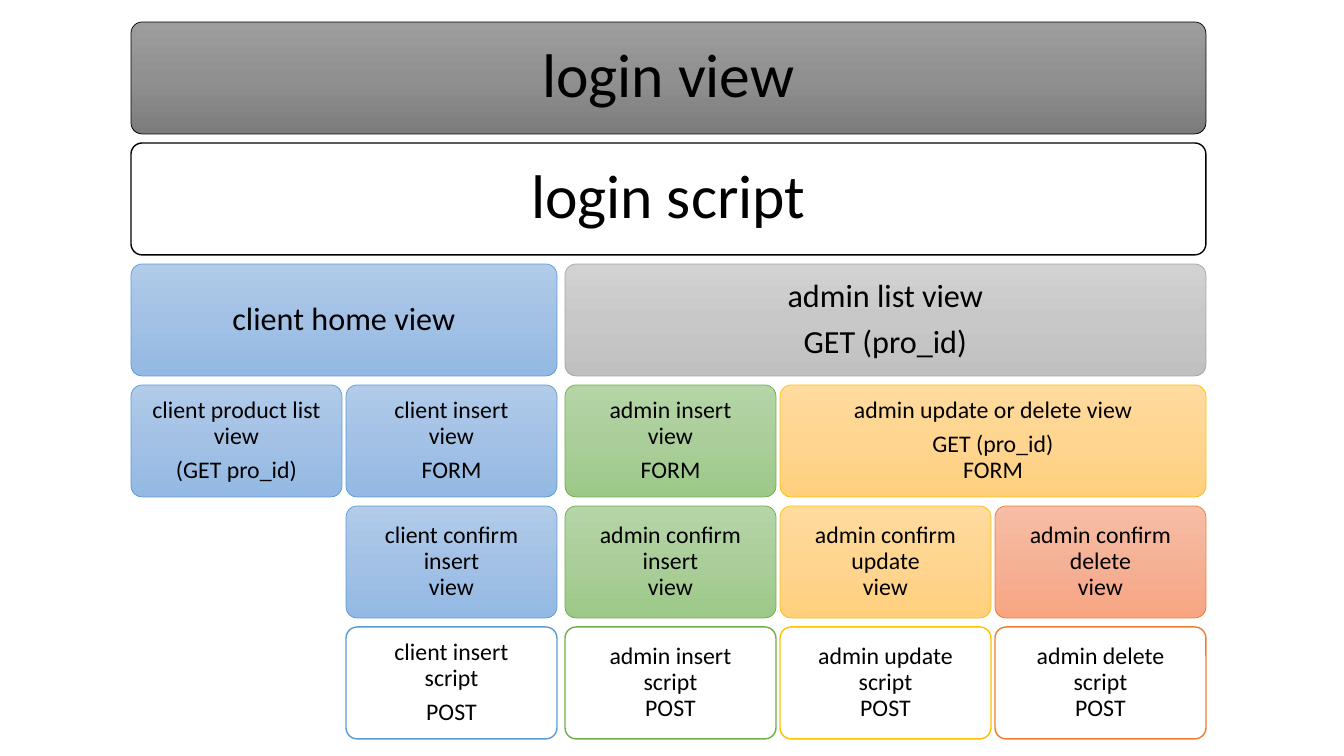
"""Build a slide of nested boxes showing the views and scripts behind a login."""
from copy import deepcopy

from pptx import Presentation
from pptx.dml.color import RGBColor
from pptx.enum.shapes import MSO_SHAPE as SHAPE
from pptx.enum.text import MSO_ANCHOR as ANCHOR, PP_ALIGN as ALIGN
from pptx.oxml.ns import qn
from pptx.util import Emu, Pt

SCALE = 914400 / 100.8
LEFT, TOP = 131, 22
BOX_W, BOX_H = 211, 112
COL_STEP, ROW_STEP, BRANCH_GAP = 215, 121, 4

THEMES = {
    "login": ("000000", ("9D9D9D", "909090", "7C7C7C")),
    "client": ("5B9BD5", ("B1CBE9", "A3C1E5", "93B9E4")),
    "admin": ("A5A5A5", ("D2D2D2", "C8C8C8", "C0C0C0")),
    "insert": ("70AD47", ("B5D5A7", "AACE9A", "9CC987")),
    "update": ("FFC000", ("FFDB9E", "FFD590", "FFD07C")),
    "delete": ("ED7D31", ("F7BDA5", "F5B196", "F8A582")),
}

VIEWS = [
    (0, 0, 5, "login", 44, ["login view"]),
    (2, 0, 2, "client", 23, ["client home view"]),
    (3, 0, 1, "client", 17, ["client product list view", "(GET pro_id)"]),
    (3, 1, 1, "client", 17, ["client insert\nview", "FORM"]),
    (4, 1, 1, "client", 17, ["client confirm insert\nview"]),
    (2, 2, 3, "admin", 23, ["admin list view", "GET (pro_id)"]),
    (3, 2, 1, "insert", 17, ["admin insert\nview", "FORM"]),
    (4, 2, 1, "insert", 17, ["admin confirm insert\nview"]),
    (3, 3, 2, "update", 17, ["admin update or delete view", "GET (pro_id)\nFORM"]),
    (4, 3, 1, "update", 17, ["admin confirm update\nview"]),
    (4, 4, 1, "delete", 17, ["admin confirm delete\nview"]),
]

SCRIPTS = [
    (1, 0, 5, "login", 44, ["login script"]),
    (5, 1, 1, "client", 17, ["client insert\nscript", "POST"]),
    (5, 2, 1, "insert", 17, ["admin insert\nscript\nPOST"]),
    (5, 3, 1, "update", 17, ["admin update script\nPOST"]),
    (5, 4, 1, "delete", 17, ["admin delete\nscript\nPOST"]),
]


def px(n):
    return Emu(round(n * SCALE))


def rgb(color):
    return RGBColor.from_string(color)


def column_x(col):
    return LEFT + col * COL_STEP + (BRANCH_GAP if col > 1 else 0)


def write(tf, paragraphs, size, font="Calibri", color="000000"):
    tf.word_wrap = True
    tf.vertical_anchor = ANCHOR.MIDDLE
    inset = px(round(size * 0.42))
    tf.margin_left = tf.margin_right = tf.margin_top = tf.margin_bottom = inset
    for i, text in enumerate(paragraphs):
        p = tf.add_paragraph() if i else tf.paragraphs[0]
        p.text = text.replace("\n", "\v")
        p.alignment = ALIGN.CENTER
        p.line_spacing = 0.9
        p.space_after = Pt(round(size * 0.35, 1))
        for r in p.runs:
            r.font.name, r.font.size = font, Pt(size)
            r.font.color.rgb = rgb(color)
        for br in p._p.findall(qn("a:br")):
            br.append(deepcopy(p.runs[0].font._element))


class Board:
    """Hold the current slide and draw boxes on its grid."""

    def __init__(self, prs):
        self.s = prs.slides.add_slide(prs.slide_layouts[6])

    def box(self, row, col, span, theme, size, paragraphs):
        x = column_x(col)
        w = column_x(col + span - 1) + BOX_W - x
        sp = self.s.shapes.add_shape(
            SHAPE.ROUNDED_RECTANGLE, px(x), px(TOP + row * ROW_STEP), px(w), px(BOX_H))
        sp.adjustments[0] = 0.1
        sp.shadow.inherit = False
        sp.line.color.rgb = rgb(THEMES[theme][0])
        write(sp.text_frame, paragraphs, size)
        return sp

    def view(self, *box):
        sp = self.box(*box)
        sp.line.width = Pt(0.5)
        sp.fill.gradient()
        sp.fill.gradient_angle = 270
        stops = sp._element.spPr.find(".//" + qn("a:gsLst"))
        stops.insert(1, deepcopy(stops[0]))
        shades = THEMES[box[3]][1]
        for i, (stop, shade) in enumerate(zip(sp.fill.gradient_stops, shades)):
            stop.position = i / 2
            stop.color.rgb = rgb(shade)

    def script(self, *box):
        sp = self.box(*box)
        sp.line.width = Pt(1)
        sp.fill.solid()
        sp.fill.fore_color.rgb = rgb("FFFFFF")


prs = Presentation()
prs.slide_width, prs.slide_height = px(1344), px(756)
board = Board(prs)
for box in VIEWS:
    board.view(*box)
for box in SCRIPTS:
    board.script(*box)
prs.save("out.pptx")
